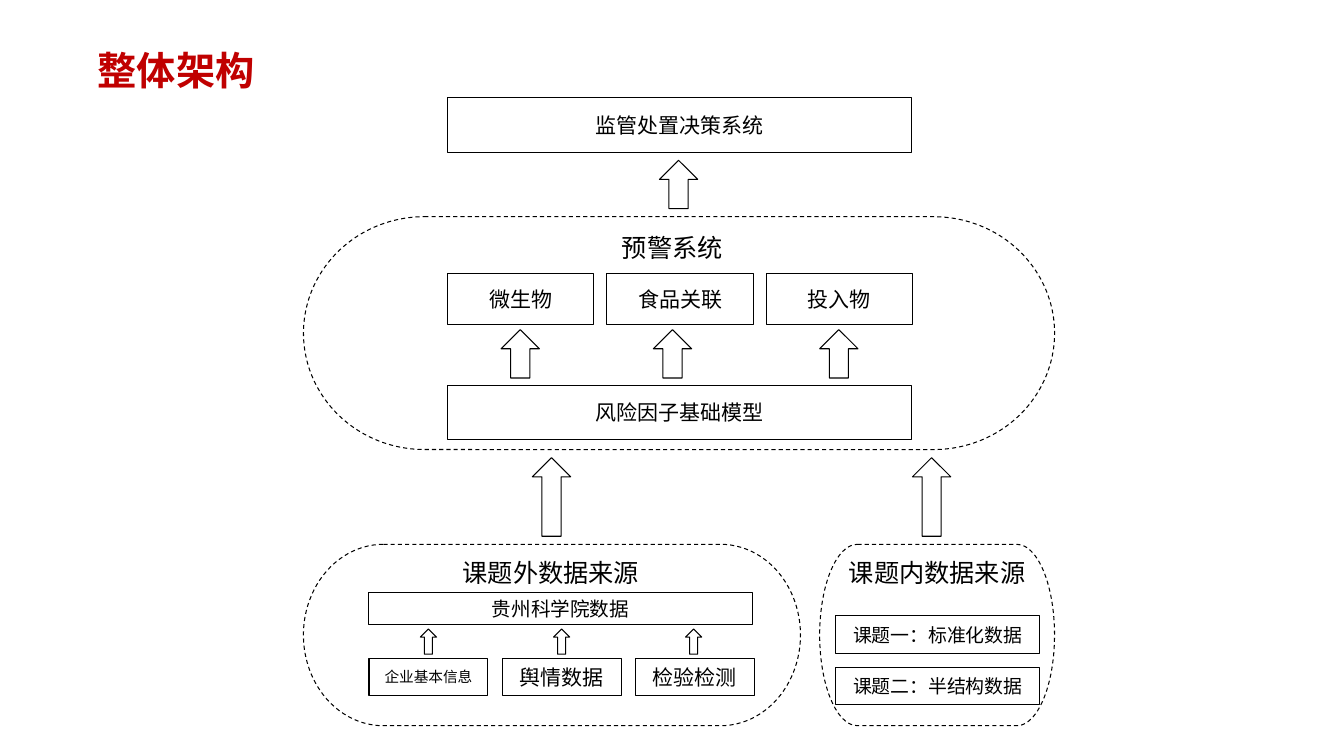
from dataclasses import dataclass
from typing import Any

from pptx import Presentation
from pptx.dml.color import RGBColor
from pptx.enum.dml import MSO_LINE
from pptx.enum.shapes import MSO_SHAPE
from pptx.enum.text import MSO_ANCHOR, MSO_AUTO_SIZE, PP_ALIGN
from pptx.util import Emu, Pt

EMU_PER_PX = 9144
TITLE_ONLY_LAYOUT = 5
FONT_NAME = "Arial"
BLACK = RGBColor(0x00, 0x00, 0x00)
RED = RGBColor(0xC0, 0x00, 0x00)
PROCESS = MSO_SHAPE.FLOWCHART_PROCESS
TERMINATOR = MSO_SHAPE.FLOWCHART_TERMINATOR
UP_ARROW = MSO_SHAPE.UP_ARROW
DASH = MSO_LINE.DASH
TOP = MSO_ANCHOR.TOP
MIDDLE = MSO_ANCHOR.MIDDLE
LEFT = PP_ALIGN.LEFT
CENTER = PP_ALIGN.CENTER
NO_AUTOFIT = MSO_AUTO_SIZE.NONE
GROW = MSO_AUTO_SIZE.SHAPE_TO_FIT_TEXT


@dataclass(frozen=True)
class Area:
    left: int
    top: int
    width: int
    height: int

    def emu(self) -> list[Emu]:
        return [Emu(px * EMU_PER_PX) for px in (self.left, self.top, self.width, self.height)]


@dataclass(frozen=True)
class Box:
    text: str
    area: Area
    size: float = 15


@dataclass(frozen=True)
class Group:
    title: str
    area: Area
    title_area: Area


@dataclass(frozen=True)
class ArrowRow:
    lefts: tuple[int, ...]
    top: int
    width: int
    height: int


TITLE_AREA = Area(87, 27, 589, 71)

GROUPS = [
    Group("预警系统", Area(301, 215, 745, 231), Area(607, 225, 120, 40)),
    Group("课题外数据来源", Area(301, 540, 493, 180), Area(449, 548, 195, 40)),
    Group("课题内数据来源", Area(813, 540, 233, 180), Area(832, 548, 195, 40)),
]

WARNING_BOXES = [
    Box(text, Area(444 + 158 * column, 271, 145, 51))
    for column, text in enumerate(("微生物", "食品关联", "投入物"))
]
SOURCE_BOXES = [
    Box(text, Area(366 + 132 * column, 653, 118, 37), size)
    for column, (text, size) in enumerate(
        (("企业基本信息", 10.5), ("舆情数据", 15), ("检验检测", 15))
    )
]
TOPIC_BOXES = [
    Box(text, Area(829, 611 + 51 * row, 202, 37), 13.5)
    for row, text in enumerate(("课题一：标准化数据", "课题二：半结构数据"))
]
BOXES = [
    Box("监管处置决策系统", Area(444, 97, 460, 54)),
    *WARNING_BOXES,
    Box("风险因子基础模型", Area(444, 382, 460, 54)),
    Box("贵州科学院数据", Area(366, 588, 380, 32), 14),
    *SOURCE_BOXES,
    *TOPIC_BOXES,
]

ARROW_ROWS = [
    ArrowRow((654,), 159, 38, 48),
    ArrowRow((497, 648, 813), 327, 38, 48),
    ArrowRow((528, 905), 454, 38, 78),
    ArrowRow((417, 549, 680), 624, 16, 25),
]


def apply_format(target: Any, values: dict[str, Any]) -> None:
    for name, value in values.items():
        setattr(target, name, value)


def write_text(
    shape: Any,
    text: str,
    frame_format: dict[str, Any],
    paragraph_format: dict[str, Any],
    font_format: dict[str, Any],
    color: RGBColor = BLACK,
) -> None:
    apply_format(shape.text_frame, frame_format)
    paragraph = shape.text_frame.paragraphs[0]
    apply_format(paragraph, paragraph_format)
    run = paragraph.add_run()
    run.text = text
    apply_format(run.font, {"name": FONT_NAME, **font_format})
    run.font.color.rgb = color


def add_outline(slide: Any, kind: MSO_SHAPE, area: Area) -> Any:
    shape = slide.shapes.add_shape(kind, *area.emu())
    shape.shadow.inherit = False
    shape.fill.background()
    shape.line.color.rgb = BLACK
    shape.line.width = Pt(0)
    return shape


def add_title(slide: Any) -> None:
    title = slide.shapes.title
    apply_format(title, dict(zip(("left", "top", "width", "height"), TITLE_AREA.emu())))
    write_text(
        title,
        "整体架构",
        {"word_wrap": True, "vertical_anchor": TOP, "auto_size": NO_AUTOFIT},
        {"alignment": LEFT, "line_spacing": 1.3},
        {"size": Pt(28), "bold": True},
        RED,
    )


def add_group(slide: Any, group: Group) -> None:
    add_outline(slide, TERMINATOR, group.area).line.dash_style = DASH
    write_text(
        slide.shapes.add_textbox(*group.title_area.emu()),
        group.title,
        {"word_wrap": False, "vertical_anchor": MIDDLE, "auto_size": GROW},
        {"alignment": LEFT},
        {"size": Pt(18)},
    )


def add_box(slide: Any, box: Box) -> None:
    write_text(
        add_outline(slide, PROCESS, box.area),
        box.text,
        {"word_wrap": True, "vertical_anchor": MIDDLE},
        {"alignment": CENTER},
        {"size": Pt(box.size)},
    )


def add_arrows(slide: Any, row: ArrowRow) -> None:
    for left in row.lefts:
        add_outline(slide, UP_ARROW, Area(left, row.top, row.width, row.height))


def main() -> None:
    presentation = Presentation()
    presentation.slide_width = Emu(1333 * EMU_PER_PX)
    presentation.slide_height = Emu(750 * EMU_PER_PX)
    slide = presentation.slides.add_slide(presentation.slide_layouts[TITLE_ONLY_LAYOUT])
    add_title(slide)
    for group in GROUPS:
        add_group(slide, group)
    for box in BOXES:
        add_box(slide, box)
    for row in ARROW_ROWS:
        add_arrows(slide, row)
    presentation.save("out.pptx")


if __name__ == "__main__":
    main()
